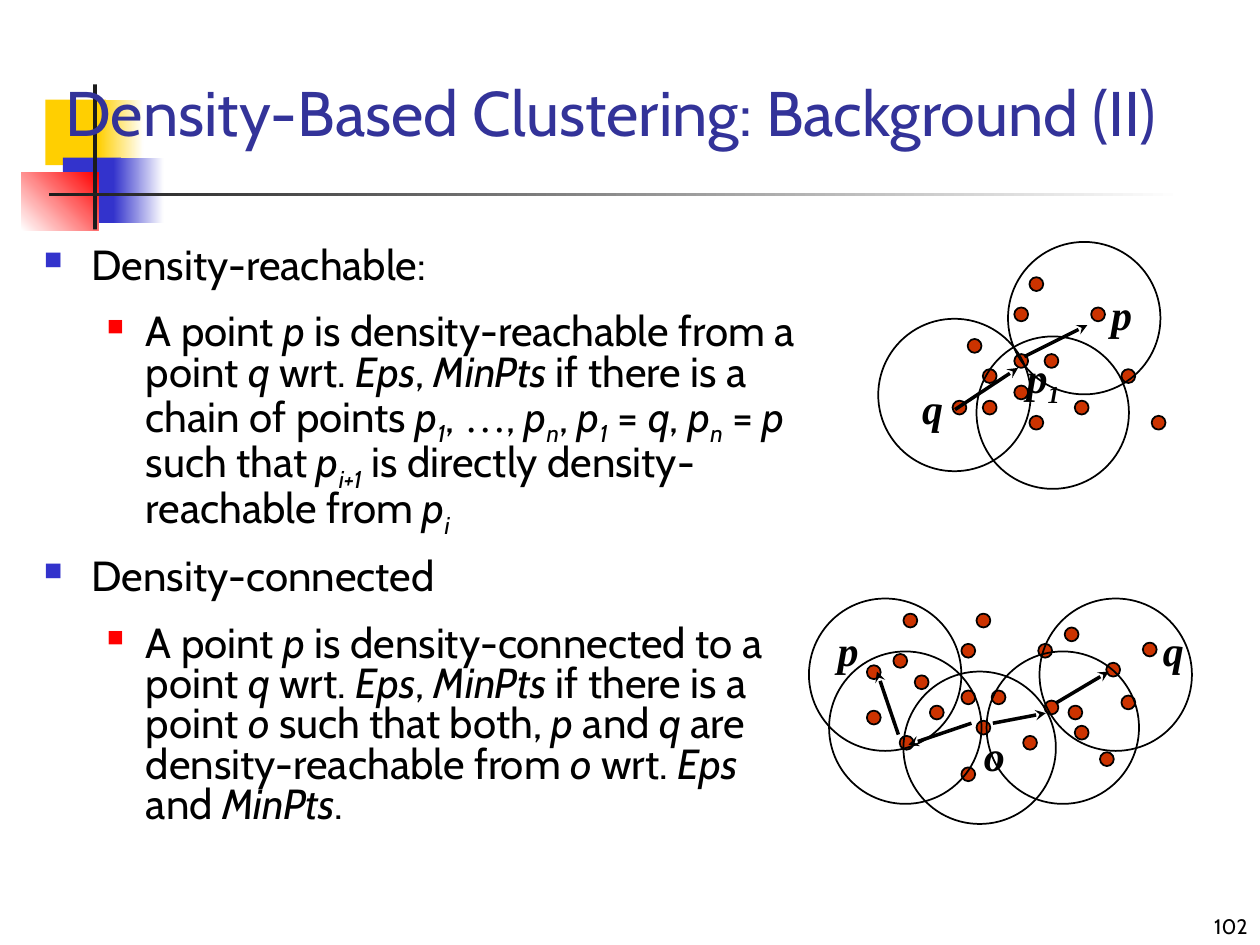
from dataclasses import dataclass

from lxml import etree
from pptx import Presentation
from pptx.dml.color import RGBColor
from pptx.enum.shapes import MSO_CONNECTOR, MSO_SHAPE
from pptx.enum.text import MSO_ANCHOR, MSO_AUTO_SIZE, PP_ALIGN
from pptx.oxml.ns import qn
from pptx.util import Inches, Pt

RECTANGLE, OVAL = MSO_SHAPE.RECTANGLE, MSO_SHAPE.OVAL
STRAIGHT = MSO_CONNECTOR.STRAIGHT
TOP, MIDDLE, BOTTOM = MSO_ANCHOR.TOP, MSO_ANCHOR.MIDDLE, MSO_ANCHOR.BOTTOM
LEFT, RIGHT = PP_ALIGN.LEFT, PP_ALIGN.RIGHT
TITLE_ONLY = 5


@dataclass(frozen=True)
class Theme:
    sans: str = "Cabin"
    serif: str = "Times New Roman"
    black: str = "000000"
    white: str = "FFFFFF"
    title: str = "333399"
    yellow: str = "FFCF01"
    blue: str = "3333CC"
    red: str = "FF0000"
    bar: str = "1C1C1C"
    dot: str = "CC3300"
    title_size: int = 36
    text_size: int = 24
    number_size: int = 12
    outline: int = 1
    arrow: int = 2


THEME = Theme()
DOT_SIZE, CIRCLE_SIZE = 0.11, 1.21

BODY = [
    (0, "Density-reachable:"),
    (1, "A point *p* is density-reachable from a point *q* wrt. *Eps*, *MinPts* if there is a "
        "chain of points *p_1_*, **…**, *p_n_*, *p_1_* = *q*, *p_n_* = *p* such that *p_i+1_* "
        "is directly density-reachable from *p_i_*"),
    (0, "Density-connected"),
    (1, "A point *p* is density-connected to a point *q* wrt. *Eps*, *MinPts* if there is a "
        "point *o *such that both, *p* and *q* are density-reachable from *o* wrt. *Eps* "
        "and *MinPts*."),
]
# Bullet colour, bullet size, left margin and hanging indent of each level
LEVELS = [(THEME.blue, 60, 0.38, 0.38), (THEME.red, 55, 0.81, 0.31)]

# Positions are measured from the top left corner of each diagram
REACHABLE = dict(
    dots=[(0.71, 0.77), (1.08, 0.89), (1.08, 0.52), (0.59, 1.26), (0.83, 1.01), (0.83, 1.26),
          (1.2, 1.38), (1.2, 0.28), (1.93, 1.01), (1.69, 0.52), (1.08, 1.14), (1.32, 0.89),
          (1.56, 1.26), (2.17, 1.38)],
    circles=[(0.78, 0.75), (0, 0.61), (1.03, 0)],
    arrows=[(1.16, 0.91, 1.66, 0.66), (0.61, 1.33, 1.11, 1)],
    labels=[("*p*", 1.75, 0.32, 0.42), ("*q*", 0.25, 1.07, 0.42), ("*p_1_*", 1.08, 0.82, 0.67)],
)
CONNECTED = dict(
    dots=[(0.84, 0.61), (1.21, 0.73), (1.21, 0.36), (0.72, 1.09), (0.96, 0.85), (1.21, 1.34),
          (1.33, 0.97), (1.33, 0.12), (2.06, 0.85), (1.82, 0.36), (0.46, 0.89), (1.45, 0.73),
          (1.7, 1.09), (2.31, 1.22), (2.48, 0.77), (1.87, 0.81), (2.11, 1.01), (2.65, 0.35),
          (2.03, 0.23), (2.36, 0.51), (0.67, 0.44), (0.46, 0.53), (0.75, 0.12)],
    circles=[(0.16, 0.42), (0.75, 0.58), (1.41, 0.42), (1.83, 0), (0, 0)],
    arrows=[(1.29, 0.99, 0.79, 1.16), (1.46, 0.99, 1.88, 0.91), (0.71, 1.08, 0.54, 0.58),
            (1.96, 0.83, 2.38, 0.58)],
    labels=[("*p*", 0.13, 0.16, 0.42), ("*q*", 2.71, 0.16, 0.42), ("*o*", 1.29, 0.99, 0.42)],
)


def color(value):
    return RGBColor.from_string(value)


def write(paragraph, text, *, size=THEME.text_size, font=THEME.sans, fill=THEME.black,
          bold=False, align=LEFT):
    """Write text in which *...* is italic and _..._ is subscript."""
    paragraph.alignment = align
    for index, part in enumerate(text.split("*")):
        for depth, piece in enumerate(part.split("_")):
            if not piece:
                continue
            run = paragraph.add_run()
            run.text = piece
            run.font.size = Pt(size)
            run.font.name = THEME.serif if piece == "…" else font
            run.font.bold = bold
            run.font.italic = index % 2 == 1
            run.font.color.rgb = color(fill)
            if depth % 2:
                run.font._element.set("baseline", "-25000")


def add_text_box(shapes, box, anchor=TOP):
    frame = shapes.add_textbox(*map(Inches, box)).text_frame
    frame.word_wrap = True
    frame.vertical_anchor = anchor
    return frame


def add_block(shapes, kind, box, fill=None, line=None, gradient=None, angle=0):
    shape = shapes.add_shape(kind, *map(Inches, box))
    shape.shadow.inherit = False
    if gradient:
        shape.fill.gradient()
        shape.fill.gradient_angle = angle
        for stop, position, value in zip(shape.fill.gradient_stops, (0, 1), gradient):
            stop.position = position
            stop.color.rgb = color(value)
    elif fill:
        shape.fill.solid()
        shape.fill.fore_color.rgb = color(fill)
    else:
        shape.fill.background()
    if line:
        shape.line.color.rgb = color(line)
        shape.line.width = Pt(THEME.outline)
    else:
        shape.line.fill.background()


def add_arrow(shapes, ends):
    arrow = shapes.add_connector(STRAIGHT, *map(Inches, ends))
    arrow.line.color.rgb = color(THEME.black)
    arrow.line.width = Pt(THEME.arrow)
    properties = arrow._element.spPr
    etree.SubElement(properties.find(qn("a:ln")), qn("a:tailEnd"), type="stealth")
    etree.SubElement(properties, qn("a:effectLst"))


def add_emblem(shapes, left, top):
    """Coloured squares with the crossing bars."""
    blocks = [
        ((0.19, 0.12, 0.48, 0.52), dict(fill=THEME.yellow)),
        ((0.61, 0.12, 0.36, 0.52), dict(gradient=(THEME.yellow, THEME.white))),
        ((0.33, 0.58, 0.46, 0.52), dict(fill=THEME.blue)),
        ((0.73, 0.58, 0.4, 0.52), dict(gradient=(THEME.blue, THEME.white))),
        ((0, 0.7, 0.61, 0.46), dict(gradient=(THEME.white, THEME.red), angle=45)),
        ((0.57, 0, 0.03, 1.15), dict(fill=THEME.bar)),
        ((0.22, 0.86, 9, 0.03), dict(gradient=(THEME.bar, THEME.white))),
    ]
    for (x, y, width, height), style in blocks:
        add_block(shapes, RECTANGLE, (left + x, top + y, width, height), **style)


def place_title(title, box, text):
    title.left, title.top, title.width, title.height = map(Inches, box)
    frame = title.text_frame
    frame.auto_size = MSO_AUTO_SIZE.NONE
    frame.vertical_anchor = MIDDLE
    write(frame.paragraphs[0], text, size=THEME.title_size, fill=THEME.title)
    # Bring the title in front of the emblem
    title.element.getparent().append(title.element)


def add_bullet(paragraph, level):
    fill, percent, margin, hanging = LEVELS[level]
    paragraph.level = level
    properties = paragraph._p.get_or_add_pPr()
    properties.set("marL", str(Inches(margin)))
    properties.set("indent", str(-Inches(hanging)))
    bullet_color = etree.SubElement(properties, qn("a:buClr"))
    etree.SubElement(bullet_color, qn("a:srgbClr"), val=fill)
    etree.SubElement(properties, qn("a:buSzPct"), val=str(percent * 1000))
    etree.SubElement(properties, qn("a:buChar"), char="■")


def add_body(shapes, box):
    frame = add_text_box(shapes, box)
    for index, (level, text) in enumerate(BODY):
        paragraph = frame.add_paragraph() if index else frame.paragraphs[0]
        add_bullet(paragraph, level)
        paragraph.line_spacing = 0.8
        paragraph.space_before = Pt(15 if index else 0)
        write(paragraph, text)


def add_diagram(shapes, left, top, dots, circles, arrows, labels):
    """Points, their neighbourhoods, the chain of arrows and the point names."""
    for x, y in dots:
        add_block(shapes, OVAL, (left + x, top + y, DOT_SIZE, DOT_SIZE),
                  fill=THEME.dot, line=THEME.black)
    for x, y in circles:
        add_block(shapes, OVAL, (left + x, top + y, CIRCLE_SIZE, CIRCLE_SIZE), line=THEME.black)
    for x1, y1, x2, y2 in arrows:
        add_arrow(shapes, (left + x1, top + y1, left + x2, top + y2))
    for text, x, y, width in labels:
        frame = add_text_box(shapes, (left + x, top + y, width, 0.5))
        write(frame.paragraphs[0], text, font=THEME.serif, bold=True)


def main():
    presentation = Presentation()
    presentation.slide_width, presentation.slide_height = Inches(10), Inches(7.5)
    slide = presentation.slides.add_slide(presentation.slide_layouts[TITLE_ONLY])
    shapes = slide.shapes

    add_emblem(shapes, 0.17, 0.67)
    place_title(shapes.title, (0.42, 0.42, 9.58, 0.92),
                "Density-Based Clustering: Background (II)")
    add_body(shapes, (0.25, 1.92, 6.17, 5.08))
    add_diagram(shapes, 6.97, 1.92, **REACHABLE)
    add_diagram(shapes.add_group_shape().shapes, 6.42, 4.75, **CONNECTED)

    # Slide number
    number = add_text_box(shapes, (7.92, 7.08, 2.08, 0.42), anchor=BOTTOM)
    write(number.paragraphs[0], "102", size=THEME.number_size, align=RIGHT)

    presentation.save("out.pptx")


if __name__ == "__main__":
    main()
